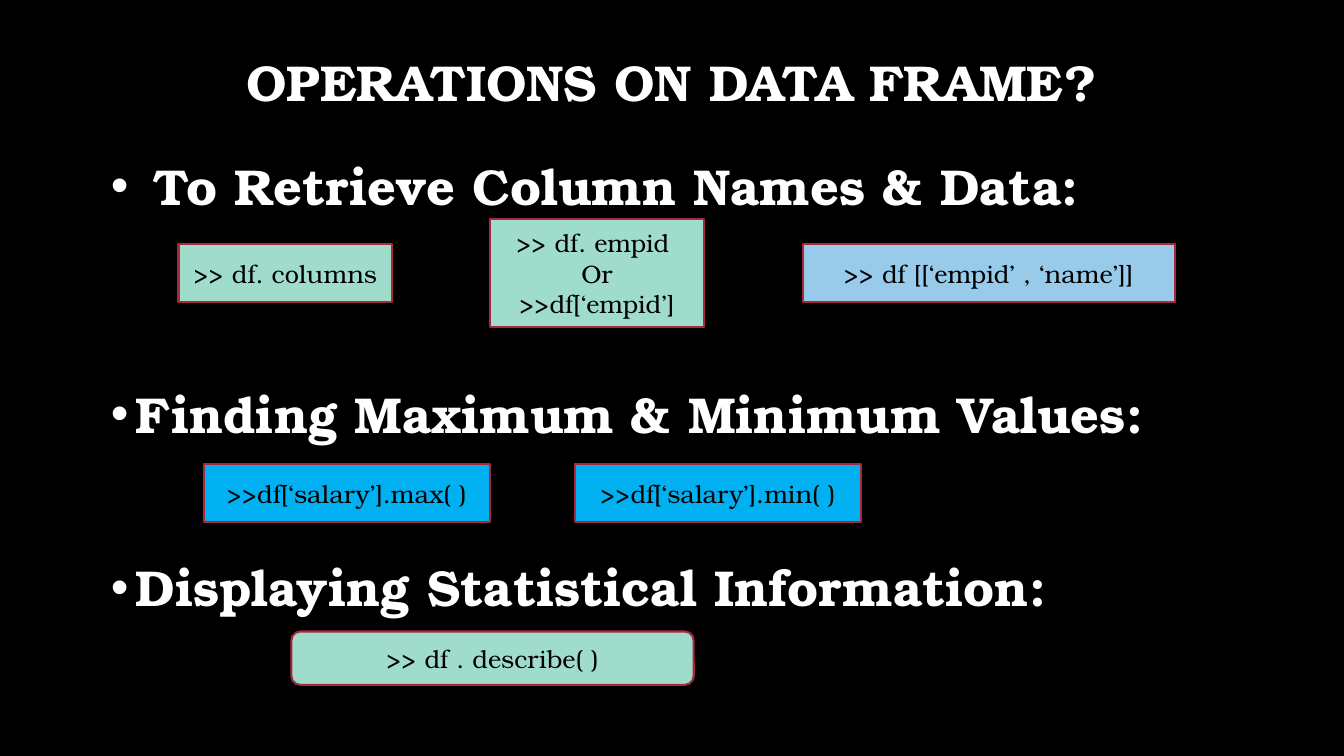
from dataclasses import dataclass

from lxml.etree import SubElement
from pptx import Presentation
from pptx.dml.color import RGBColor
from pptx.enum.shapes import MSO_SHAPE
from pptx.enum.text import MSO_ANCHOR, PP_ALIGN
from pptx.oxml.ns import qn
from pptx.util import Inches, Pt


@dataclass(frozen=True)
class Theme:
    font: str = "TeX Gyre Bonum"
    bullet_font: str = "Arial"
    back: str = "000000"
    light: str = "FFFFFF"
    dark: str = "000000"
    border: str = "A6293E"
    mint: str = "A0DCCC"
    sky: str = "97CBE9"
    blue: str = "00B0F0"
    heading: int = 36
    code: int = 18
    border_width: float = 1.5


T = Theme()
RECT, ROUND = MSO_SHAPE.RECTANGLE, MSO_SHAPE.ROUNDED_RECTANGLE

LEFT, WIDTH = 1, 11.32
TITLE = "OPERATIONS ON DATA FRAME?"

TOPICS = [
    (" To Retrieve Column Names & Data:", 10),
    ("Finding Maximum & Minimum Values:", 111),
    ("Displaying Statistical Information:", 72),
]

CODE_ROWS = [
    (2.71, RECT, [
        (1.77, 2.12, 0.58, T.mint, [">> df. columns"]),
        (4.86, 2.12, 1.07, T.mint, [">> df. empid ", "Or", ">>df[‘empid’]"]),
        (7.96, 3.69, 0.58, T.sky, [">> df [[‘empid’ , ‘name’]]"]),
    ]),
    (4.89, RECT, [
        (2.02, 2.84, 0.58, T.blue, [">>df[‘salary’].max( )"]),
        (5.7, 2.84, 0.58, T.blue, [">>df[‘salary’].min( )"]),
    ]),
    (6.53, ROUND, [
        (2.89, 3.99, 0.53, T.mint, [">> df . describe( )"]),
    ]),
]


def rgb(value):
    return RGBColor.from_string(value)


def add_run(p, text, size, color, bold=False):
    r = p.add_run()
    r.text = text
    r.font.name = T.font
    r.font.size = Pt(size)
    r.font.bold = bold
    r.font.color.rgb = rgb(color)


def paragraphs(tf, count):
    return [tf.paragraphs[0]] + [tf.add_paragraph() for _ in range(count - 1)]


def add_bullet(p):
    pPr = p._p.get_or_add_pPr()
    pPr.set("marL", str(Inches(0.25)))
    pPr.set("indent", str(-Inches(0.25)))
    SubElement(pPr, qn("a:buFont")).set("typeface", T.bullet_font)
    SubElement(pPr, qn("a:buChar")).set("char", "•")


def add_text_box(s, top, height):
    box = s.shapes.add_textbox(Inches(LEFT), Inches(top), Inches(WIDTH), Inches(height))
    tf = box.text_frame
    tf.word_wrap = True
    return tf


def add_title(s):
    tf = add_text_box(s, 0.44, 0.81)
    tf.vertical_anchor = MSO_ANCHOR.MIDDLE
    p = tf.paragraphs[0]
    p.alignment = PP_ALIGN.CENTER
    p.line_spacing = 0.9
    add_run(p, TITLE, T.heading, T.light, True)


def add_topics(s):
    tf = add_text_box(s, 1.37, 5.79)
    for p, (text, space) in zip(paragraphs(tf, len(TOPICS)), TOPICS):
        p.line_spacing = 1.2
        p.space_before = Pt(space)
        add_bullet(p)
        add_run(p, text, T.heading, T.light, True)


def add_code(s, kind, middle, left, width, height, fill, lines):
    sp = s.shapes.add_shape(
        kind, Inches(left), Inches(middle - height / 2), Inches(width), Inches(height)
    )
    sp.shadow.inherit = False
    sp.fill.solid()
    sp.fill.fore_color.rgb = rgb(fill)
    sp.line.color.rgb = rgb(T.border)
    sp.line.width = Pt(T.border_width)
    tf = sp.text_frame
    tf.word_wrap = True
    tf.vertical_anchor = MSO_ANCHOR.MIDDLE
    for p, line in zip(paragraphs(tf, len(lines)), lines):
        p.alignment = PP_ALIGN.CENTER
        add_run(p, line, T.code, T.dark)


def main():
    prs = Presentation()
    prs.slide_width, prs.slide_height = Inches(13.33), Inches(7.5)
    s = prs.slides.add_slide(prs.slide_layouts[6])
    s.background.fill.solid()
    s.background.fill.fore_color.rgb = rgb(T.back)
    add_title(s)
    add_topics(s)
    for middle, kind, boxes in CODE_ROWS:
        for box in boxes:
            add_code(s, kind, middle, *box)
    prs.save("out.pptx")


if __name__ == "__main__":
    main()
